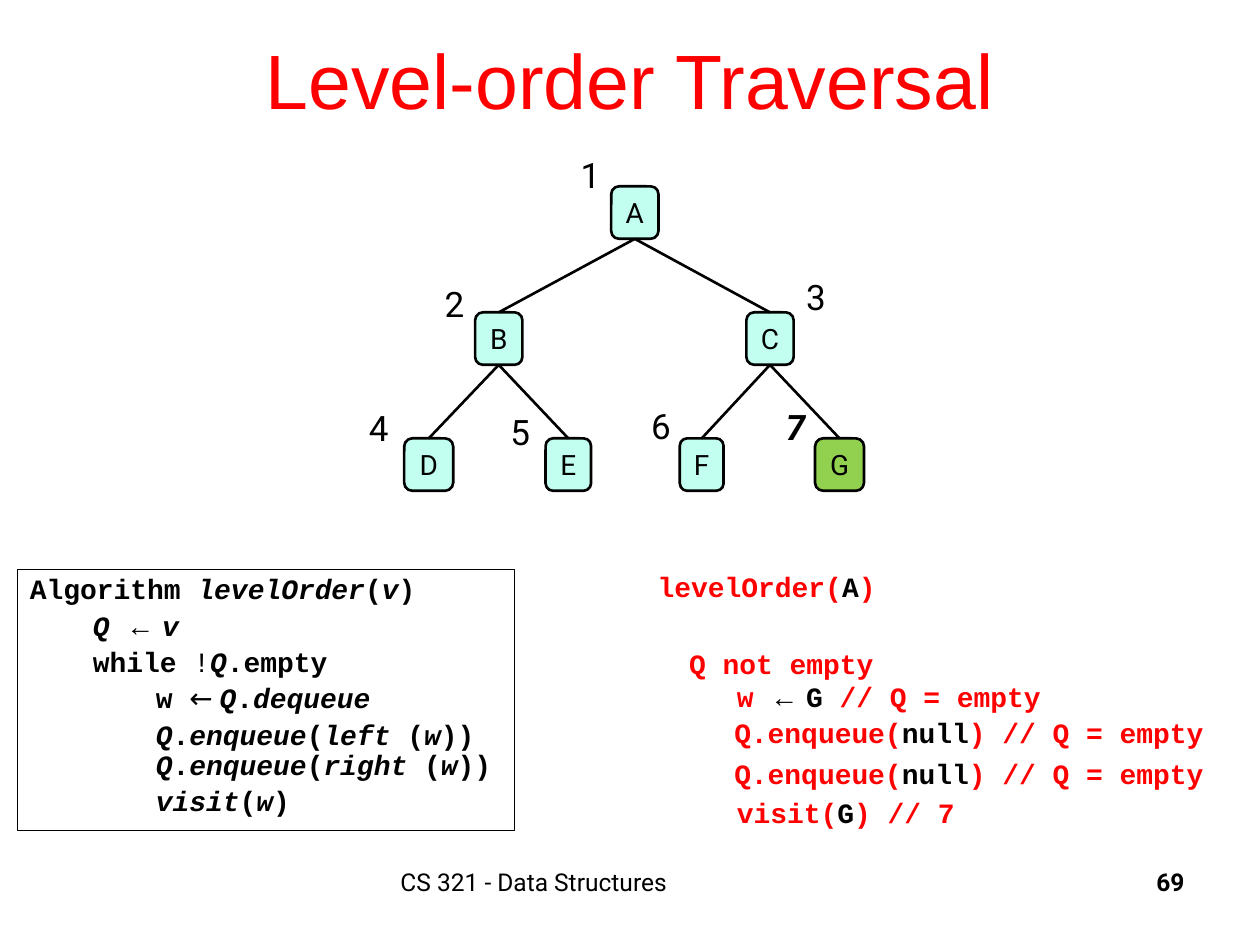
import pptx
import pptx.dml.color
import pptx.enum.shapes
import pptx.enum.text
import pptx.oxml.ns
import pptx.util
from lxml import etree

Pt = pptx.util.Pt
ALIGN = pptx.enum.text.PP_ALIGN
ANCHOR = pptx.enum.text.MSO_ANCHOR
SHAPES = pptx.enum.shapes.MSO_SHAPE

BLACK, RED, MINT, GREEN = "000000", "FF0000", "C2FFF0", "92D050"
SANS, BODY, MONO = "Arial", "Roboto", "Courier New"


def color(hex_string):
    return pptx.dml.color.RGBColor.from_string(hex_string)


class TreeSlide:
    """Holds the current slide and the shared style."""

    line_width = 1.5
    node_height = 30

    def __init__(self, slide):
        self.slide = slide

    def style(self, font, name=None, size=None, ink=None, bold=None, italic=None):
        if name:
            font.name = name
        if size:
            font.size = Pt(size)
        if ink:
            font.color.rgb = color(ink)
        if bold is not None:
            font.bold = bold
        if italic is not None:
            font.italic = italic

    def set_text(self, paragraph, runs, align=ALIGN.LEFT, **shared):
        """Runs are plain strings or (text, overrides); "\\n" breaks the line."""
        paragraph.alignment = align
        self.style(paragraph.font, **shared)
        for item in runs:
            if item == "\n":
                paragraph.add_line_break()
                continue
            words, overrides = (item, {}) if isinstance(item, str) else item
            run = paragraph.add_run()
            run.text = words
            self.style(run.font, **overrides)

    def title(self, words):
        heading = self.slide.shapes.title
        heading.left, heading.top, heading.width, heading.height = (
            Pt(54), Pt(0), Pt(612), Pt(90))
        heading.text_frame.vertical_anchor = ANCHOR.MIDDLE
        self.set_text(heading.text_frame.paragraphs[0], [words], ALIGN.CENTER,
                      name=SANS, size=44, ink=RED)

    def label(self, left, top, width, height, runs, wrap=True, **shared):
        box = self.slide.shapes.add_textbox(Pt(left), Pt(top), Pt(width), Pt(height))
        box.text_frame.word_wrap = wrap
        self.set_text(box.text_frame.paragraphs[0], runs, **shared)

    def shape(self, kind, left, top, width, height, line_width, fill=None):
        shape = self.slide.shapes.add_shape(
            kind, Pt(left), Pt(top), Pt(width), Pt(height))
        shape.shadow.inherit = False
        if fill:
            shape.fill.solid()
            shape.fill.fore_color.rgb = color(fill)
        else:
            shape.fill.background()
        shape.line.color.rgb = color(BLACK)
        shape.line.width = Pt(line_width)
        return shape

    def node(self, letter, center, top, width, fill):
        node = self.shape(SHAPES.ROUNDED_RECTANGLE, center - width / 2, top,
                          width, self.node_height, self.line_width, fill)
        node.text_frame.word_wrap = False
        node.text_frame.vertical_anchor = ANCHOR.MIDDLE
        self.set_text(node.text_frame.paragraphs[0], [letter], ALIGN.CENTER,
                      name=BODY, size=16, ink=BLACK)
        return node

    def edge(self, parent, child):
        edge = self.slide.shapes.add_connector(
            pptx.enum.shapes.MSO_CONNECTOR.STRAIGHT, 0, 0, 0, 0)
        edge.begin_connect(parent, 2)
        edge.end_connect(child, 0)
        edge.line.color.rgb = color(BLACK)
        edge.line.width = Pt(self.line_width)
        etree.SubElement(edge._element.spPr, pptx.oxml.ns.qn("a:effectLst"))

    def code(self, left, top, width, height, lines):
        box = self.shape(SHAPES.RECTANGLE, left, top, width, height, 0.75)
        frame = box.text_frame
        frame.word_wrap = True
        frame.vertical_anchor = ANCHOR.TOP
        for index, (level, runs) in enumerate(lines):
            line = frame.add_paragraph() if index else frame.paragraphs[0]
            line.level = level
            line._p.get_or_add_pPr().set("marL", str(Pt(36 * level)))
            line.line_spacing = 0.9
            if index:
                line.space_before = Pt(3.5)
            self.set_text(line, runs, name=MONO, size=16, ink=BLACK, bold=True)


def italic(words):
    return words, {"italic": True}


def black(words):
    return words, {"ink": BLACK}


def arrow(font_name):
    return "← ", {"name": font_name, "bold": False, "ink": BLACK}


def enqueue(child):
    return [italic("Q"), ".", italic("enqueue"), "(", italic(child + " "),
            "(", italic("w"), "))"]


def main():
    deck = pptx.Presentation()
    deck.slide_width, deck.slide_height = Pt(720), Pt(540)
    page = TreeSlide(deck.slides.add_slide(deck.slide_layouts[5]))

    page.title("Level-order Traversal")

    # Footer
    page.label(221.75, 492, 276, 36, ["CS 321 - Data Structures"],
               name=BODY, size=14, ink=BLACK)
    page.label(534, 492, 150, 36, ["69"], align=ALIGN.RIGHT,
               name=BODY, size=14, ink=BLACK, bold=True)

    # Algorithm
    page.code(10, 325.5, 284, 149, [
        (0, ["Algorithm ", italic("levelOrder"), "(", italic("v"), ")"]),
        (1, [italic("Q "), arrow(SANS), italic("v")]),
        (1, ["while ", ("!", {"bold": False}), italic("Q"), ".empty"]),
        (1, ["\tw ", arrow(BODY), italic("Q"), ".", italic("dequeue")]),
        (2, enqueue("left") + ["\n"] + enqueue("right")),
        (2, [italic("visit"), "(", italic("w"), ")"]),
    ])

    # Tree nodes: letter, level, center, width
    first_level, level_step = 106.5, 72
    visited = "G"
    nodes = {
        letter: page.node(letter, center, first_level + level * level_step, width,
                          GREEN if letter == visited else MINT)
        for letter, level, center, width in [
            ("A", 0, 362.75, 27), ("B", 1, 285, 27), ("C", 1, 440, 27),
            ("D", 2, 245, 28), ("E", 2, 324.75, 26),
            ("F", 2, 401, 25), ("G", 2, 479.75, 28)]
    }
    for parent, child in ["AB", "AC", "BD", "BE", "CF", "CG"]:
        page.edge(nodes[parent], nodes[child])

    # Visit order
    order_places = [(324.75, 84.25), (247, 157.75), (453.5, 154), (203.75, 229),
                    (284.5, 231), (365, 227.5), (442, 228.25)]
    for number, (left, top) in enumerate(order_places, 1):
        current = number == len(order_places)
        page.label(left, top, 25.25, 31.5, [str(number)], wrap=False, name=BODY,
                   size=20, ink=BLACK, bold=current, italic=current)

    # Trace of the last step
    enqueue_null = ["Q.enqueue(", black("null"), ") // Q = empty"]
    trace = [
        (368.75, 322, ["levelOrder(", black("A"), ")"]),
        (386.75, 366, ["Q not empty"]),
        (414, 384.75, ["w ", arrow(SANS), black("G "), "// Q = empty"]),
        (412.5, 405.5, enqueue_null),
        (412.5, 429, enqueue_null),
        (414, 451, ["visit(", black("G"), ") // 7"]),
    ]
    for left, top, runs in trace:
        page.label(left, top, 295, 26.5, runs,
                   name=MONO, size=16, ink=RED, bold=True)

    deck.save("out.pptx")


if __name__ == "__main__":
    main()
